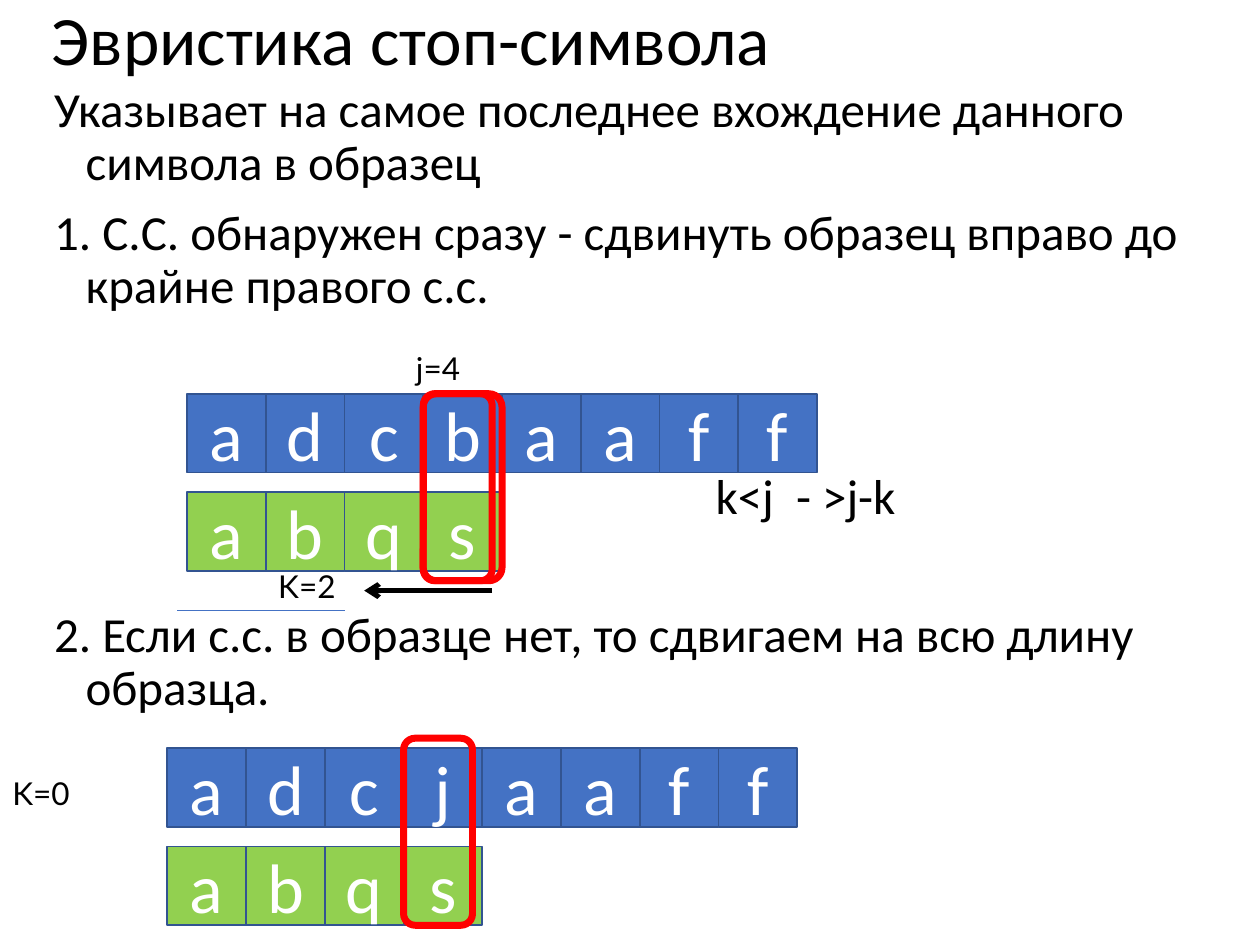
from dataclasses import dataclass

import pptx
import pptx.dml.color
import pptx.enum.shapes
import pptx.enum.text
import pptx.oxml
import pptx.oxml.ns
import pptx.util

COLORS = {
    "text": "4472C4", "pattern": "92D050", "edge": "325491",
    "frame": "FF0000", "ink": "000000", "letter": "FFFFFF",
}
COLUMNS, ROWS = 16, 12
WIDTH, HEIGHT = pptx.util.Inches(10), pptx.util.Inches(7.5)


@dataclass
class Strip:
    letters: str
    column: float
    row: float
    color: str


@dataclass
class Frame:
    column: float
    row: float
    columns: float


@dataclass
class Label:
    text: str
    column: float
    row: float


@dataclass
class Rule:
    start: float
    end: float
    row: float
    color: str
    weight: float
    arrow: bool = False


@dataclass
class Statement:
    text: str
    before: float = 0
    margin: float = 0.25
    indent: float = -0.25


STRIPS = [
    Strip("adсbaaff", 2.375, 5, "text"),
    Strip("abqs", 2.375, 6.25, "pattern"),
    Strip("adсjaaff", 2.125, 9.5, "text"),
    Strip("abqs", 2.125, 10.75, "pattern"),
]
FRAMES = [Frame(5.375, 5, 0.875), Frame(5.375, 5, 1), Frame(5.125, 9.375, 0.875)]
LABELS = [Label("K=2", 3.375, 7.125), Label("K=0", 0, 9.75), Label("j=4", 5.125, 4.35)]
RULES = [
    Rule(6.25, 4.625, 7.5, "ink", 2.75, True),
    Rule(2.25, 4.375, 7.75, "text", 0.5),
]
STATEMENTS = [
    Statement("Указывает на самое последнее вхождение данного символа в образец"),
    Statement("1. С.С. обнаружен сразу - сдвинуть образец вправо до крайне правого с.с.", 10),
    Statement("k<j  - >j-k", 90, 5.25, 0),
    Statement("2. Если c.c. в образце нет, то сдвигаем на всю длину образца.", 49),
]


def rgb(name: str) -> pptx.dml.color.RGBColor:
    return pptx.dml.color.RGBColor.from_string(COLORS[name])


def across(columns: float) -> int:
    return round(WIDTH * columns / COLUMNS)


def down(rows: float) -> int:
    return round(HEIGHT * rows / ROWS)


def area(column: float, row: float, columns: float, rows: float) -> tuple[int, ...]:
    return across(column), down(row), across(columns), down(rows)


def add_run(paragraph, text: str, size: float, color: str = "ink", font: str = "Calibri") -> None:
    run = paragraph.add_run()
    run.text = text
    run.font.size = pptx.util.Pt(size)
    run.font.name = font
    run.font.color.rgb = rgb(color)


def draw_title(slide, text: str) -> None:
    title = slide.shapes.title
    title.left, title.top, title.width, title.height = area(0.5, 0, 14.94, 1.1)
    title.text_frame.vertical_anchor = pptx.enum.text.MSO_ANCHOR.MIDDLE
    paragraph = title.text_frame.paragraphs[0]
    paragraph.alignment = pptx.enum.text.PP_ALIGN.LEFT
    paragraph.line_spacing = 0.9
    add_run(paragraph, text, 39.6)


def draw_statements(slide, statements: list[Statement]) -> None:
    body = slide.shapes.add_textbox(*area(0.53, 1, 14.94, 9.68)).text_frame
    body.word_wrap = True
    for index, statement in enumerate(statements):
        paragraph = body.add_paragraph() if index else body.paragraphs[0]
        paragraph.line_spacing = 0.9
        paragraph.space_before = pptx.util.Pt(statement.before)
        properties = paragraph._p.get_or_add_pPr()
        properties.set("marL", str(pptx.util.Inches(statement.margin)))
        properties.set("indent", str(pptx.util.Inches(statement.indent)))
        add_run(paragraph, statement.text, 28)


def draw_strip(slide, strip: Strip) -> None:
    for offset, letter in enumerate(strip.letters):
        cell = slide.shapes.add_shape(
            pptx.enum.shapes.MSO_SHAPE.RECTANGLE,
            *area(strip.column + offset, strip.row, 1, 1))
        cell.shadow.inherit = False
        cell.fill.solid()
        cell.fill.fore_color.rgb = rgb(strip.color)
        cell.line.color.rgb = rgb("edge")
        cell.line.width = pptx.util.Pt(1)
        cell.text_frame.vertical_anchor = pptx.enum.text.MSO_ANCHOR.MIDDLE
        paragraph = cell.text_frame.paragraphs[0]
        paragraph.alignment = pptx.enum.text.PP_ALIGN.CENTER
        add_run(paragraph, letter, 40, "letter")


def draw_frame(slide, frame: Frame) -> None:
    outline = slide.shapes.add_shape(
        pptx.enum.shapes.MSO_SHAPE.ROUNDED_RECTANGLE,
        *area(frame.column, frame.row, frame.columns, 2.375))
    outline.shadow.inherit = False
    outline.fill.background()
    outline.line.color.rgb = rgb("frame")
    outline.line.width = pptx.util.Pt(4)


def draw_rule(slide, rule: Rule) -> None:
    level = down(rule.row)
    stroke = slide.shapes.add_connector(
        pptx.enum.shapes.MSO_CONNECTOR.STRAIGHT,
        across(rule.start), level, across(rule.end), level)
    stroke.line.color.rgb = rgb(rule.color)
    stroke.line.width = pptx.util.Pt(rule.weight)
    if rule.arrow:
        head = pptx.oxml.parse_xml(
            f'<a:tailEnd {pptx.oxml.ns.nsdecls("a")} type="arrow"/>')
        stroke.line._get_or_add_ln().append(head)
    stroke._element.spPr.append(
        pptx.oxml.parse_xml(f'<a:effectLst {pptx.oxml.ns.nsdecls("a")}/>'))


def draw_label(slide, label: Label) -> None:
    caption = slide.shapes.add_textbox(*area(label.column, label.row, 1.875, 0.64)).text_frame
    caption.word_wrap = True
    add_run(caption.paragraphs[0], label.text, 18, font="Lato")


def main() -> None:
    """Build the slide about the stop-symbol heuristic."""
    deck = pptx.Presentation()
    deck.slide_width, deck.slide_height = WIDTH, HEIGHT
    slide = deck.slides.add_slide(deck.slide_layouts[5])
    draw_title(slide, "Эвристика стоп-символа")
    draw_statements(slide, STATEMENTS)
    for draw, items in (
        (draw_strip, STRIPS), (draw_frame, FRAMES),
        (draw_rule, RULES), (draw_label, LABELS),
    ):
        for item in items:
            draw(slide, item)
    deck.save("out.pptx")


if __name__ == "__main__":
    main()
